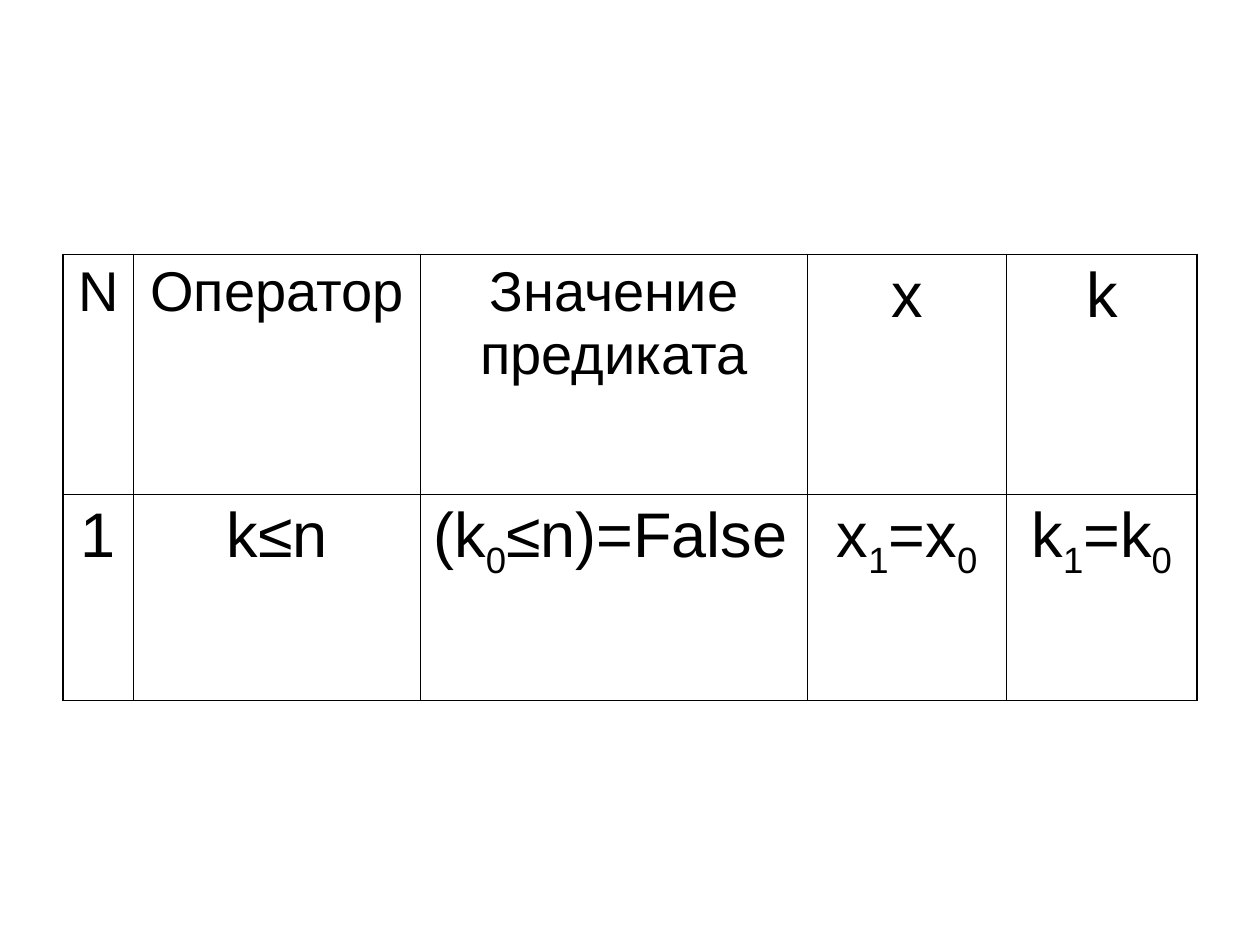
from lxml.etree import SubElement
from pptx import Presentation
from pptx.dml.color import RGBColor
from pptx.enum.text import PP_ALIGN as Align
from pptx.oxml.ns import qn
from pptx.util import Inches, Pt

INK = RGBColor(0, 0, 0)
FONT = "Arial"
THIN, THICK = Pt(0.45), Pt(1.08)
COLUMN_WIDTHS = [0.56, 2.28, 3.07, 1.58, 1.51]
ROW_HEIGHTS = [1.9, 1.64]
HEADINGS = [("N",), ("Оператор",), ("Значение предиката",), ("x",), ("k",)]
STEP = [("1",), ("k≤n",), ("(k", "0", "≤n)=False"),
        ("x", "1", "=x", "0"), ("k", "1", "=k", "0")]
HEADING_SIZES = [32, 32, 32, 36, 36]
STEP_SIZES = [36] * 5


def draw_border(cell, side, width):
    line = SubElement(cell._tc.get_or_add_tcPr(), qn(f"a:ln{side}"), w=str(width))
    fill = SubElement(line, qn("a:solidFill"))
    SubElement(fill, qn("a:srgbClr"), val=str(INK))


def frame_cell(cell, row, column):
    outer_sides = {
        "L": column == 0,
        "R": column == len(COLUMN_WIDTHS) - 1,
        "T": row == 0,
        "B": row == len(ROW_HEIGHTS) - 1,
    }
    for side, is_outer in outer_sides.items():
        draw_border(cell, side, THICK if is_outer else THIN)
    cell.fill.background()


def write_formula(cell, parts, size):
    formula = cell.text_frame.paragraphs[0]
    formula.alignment = Align.LEFT if "False" in parts[-1] else Align.CENTER
    for position, part in enumerate(parts):
        run = formula.add_run()
        run.text = part
        run.font.name = FONT
        run.font.size = Pt(size)
        run.font.bold = False
        run.font.color.rgb = INK
        if position % 2:
            run.font._element.set("baseline", "-25000")


def add_trace_table(slide):
    trace = slide.shapes.add_table(
        len(ROW_HEIGHTS), len(COLUMN_WIDTHS), Inches(0.5), Inches(2.02),
        Inches(sum(COLUMN_WIDTHS)), Inches(sum(ROW_HEIGHTS))).table
    trace.first_row = False
    trace.horz_banding = False
    for column, width in zip(trace.columns, COLUMN_WIDTHS):
        column.width = Inches(width)
    for row, height in zip(trace.rows, ROW_HEIGHTS):
        row.height = Inches(height)
    contents = [(HEADINGS, HEADING_SIZES), (STEP, STEP_SIZES)]
    for row, (formulas, sizes) in enumerate(contents):
        for column, (parts, size) in enumerate(zip(formulas, sizes)):
            cell = trace.cell(row, column)
            frame_cell(cell, row, column)
            write_formula(cell, parts, size)


def main():
    deck = Presentation()
    deck.slide_width, deck.slide_height = Inches(10), Inches(7.5)
    slide = deck.slides.add_slide(deck.slide_layouts[6])
    add_trace_table(slide)
    deck.save("out.pptx")


if __name__ == "__main__":
    main()
